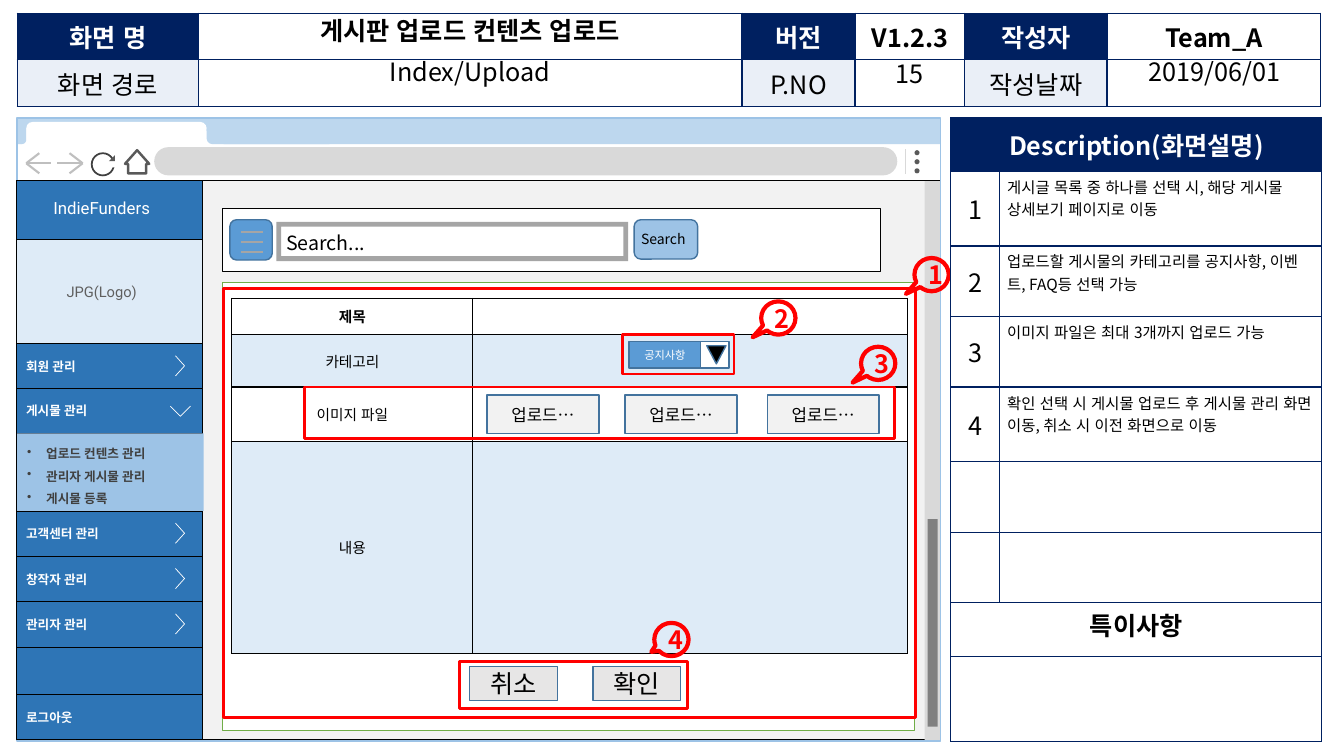
from lxml import etree
from pptx import Presentation
from pptx.dml.color import RGBColor
from pptx.enum.lang import MSO_LANGUAGE_ID
from pptx.enum.shapes import MSO_CONNECTOR, MSO_SHAPE
from pptx.enum.text import MSO_ANCHOR, MSO_AUTO_SIZE, PP_ALIGN
from pptx.oxml.ns import qn
from pptx.util import Inches, Pt

RECT, ROUND, OVAL = MSO_SHAPE.RECTANGLE, MSO_SHAPE.ROUNDED_RECTANGLE, MSO_SHAPE.OVAL
TRIANGLE, ARROW, FRAME = MSO_SHAPE.ISOSCELES_TRIANGLE, MSO_SHAPE.DOWN_ARROW, MSO_SHAPE.FRAME
CALLOUT, BUTTON = MSO_SHAPE.OVAL_CALLOUT, MSO_SHAPE.ACTION_BUTTON_CUSTOM
STRAIGHT = MSO_CONNECTOR.STRAIGHT
TOP, MIDDLE = MSO_ANCHOR.TOP, MSO_ANCHOR.MIDDLE
LEFT, CENTER = PP_ALIGN.LEFT, PP_ALIGN.CENTER
KOREAN = MSO_LANGUAGE_ID.KOREAN
NOTO, ROBOTO = "Noto Sans CJK KR", "Roboto"
NAVY, BLUE, STEEL, PALE, RED = "002060", "2E75B6", "43739E", "DEEBF7", "FF0000"
INSETS = (0.1, 0.05, 0.1, 0.05)
SIDE_INSETS = (0.1, 0.05, 0.25, 0.05)


def rgb(value):
    return RGBColor.from_string(value)


def write(tf, text, size, color="000000", bold=False, align=CENTER, font=NOTO):
    tf.text = text
    for p in tf.paragraphs:
        p.alignment = align
        for r in p.runs:
            r.font.size, r.font.bold, r.font.name = Pt(size), bold, font
            r.font.language_id = KOREAN
            r.font.color.rgb = rgb(color)
            etree.SubElement(r.font._element, qn("a:ea"), typeface=font)


def frame_text(tf, anchor=MIDDLE, insets=INSETS, wrap=True):
    tf.word_wrap, tf.auto_size, tf.vertical_anchor = wrap, MSO_AUTO_SIZE.NONE, anchor
    tf.margin_left, tf.margin_top, tf.margin_right, tf.margin_bottom = map(Inches, insets)


def style(sp, fill, line, width):
    sp.shadow.inherit = False
    if fill:
        sp.fill.solid()
        sp.fill.fore_color.rgb = rgb(fill)
    else:
        sp.fill.background()
    if line:
        sp.line.color.rgb, sp.line.width = rgb(line), Pt(width)
    else:
        sp.line.fill.background()
    return sp


def shape(s, kind, x, y, w, h, fill=None, line=None, width=1, adj=(), turn=0):
    sp = s.shapes.add_shape(kind, *map(Inches, (x, y, w, h)))
    for i, value in enumerate(adj):
        sp.adjustments[i] = value
    sp.rotation = turn
    return style(sp, fill, line, width)


def label(sp, text, size, color="000000", bold=False, align=CENTER, font=NOTO, anchor=MIDDLE,
          insets=INSETS, wrap=True):
    frame_text(sp.text_frame, anchor, insets, wrap)
    write(sp.text_frame, text, size, color, bold, align, font)


def textbox(s, x, y, w, h, text, size, align=LEFT, anchor=TOP):
    label(s.shapes.add_textbox(*map(Inches, (x, y, w, h))), text, size, align=align, anchor=anchor)


def line(s, x1, y1, x2, y2, color, width):
    cn = s.shapes.add_connector(STRAIGHT, *map(Inches, (x1, y1, x2, y2)))
    cn.line.color.rgb, cn.line.width = rgb(color), Pt(width)
    etree.SubElement(cn._element.spPr, qn("a:effectLst"))


def chevron(s, points):
    start, *rest = [(Inches(x), Inches(y)) for x, y in points]
    builder = s.shapes.build_freeform(*start)
    builder.add_line_segments(rest, close=False)
    style(builder.convert_to_shape(), None, "FFFFFF", 0.5)


def table(s, x, y, cols, rows, border, margins):
    frame = s.shapes.add_table(len(rows), len(cols), *map(Inches, (x, y, sum(cols), sum(rows))))
    tbl = frame.table
    tbl.first_row = tbl.horz_banding = False
    for column, w in zip(tbl.columns, cols):
        column.width = Inches(w)
    for row, h in zip(tbl.rows, rows):
        row.height = Inches(h)
    for cell in tbl.iter_cells():
        cell.margin_left = cell.margin_right = Inches(margins[0])
        cell.margin_top = cell.margin_bottom = Inches(margins[1])
        tcPr = cell._tc.get_or_add_tcPr()
        for side in ("lnL", "lnR", "lnT", "lnB"):
            ln = etree.SubElement(tcPr, qn("a:" + side), w=str(Pt(1)))
            etree.SubElement(etree.SubElement(ln, qn("a:solidFill")), qn("a:srgbClr"), val=border)
        cell.fill.background()
    return tbl


def put(cell, text, size, fill=None, color="000000", bold=False, align=CENTER, anchor=MIDDLE):
    cell.vertical_anchor = anchor
    if fill:
        cell.fill.solid()
        cell.fill.fore_color.rgb = rgb(fill)
    if text:
        write(cell.text_frame, text, size, color, bold, align)


def header(s, x, y):
    fields = [(s.shapes.title, "게시판 업로드 컨텐츠 업로드", 1.8, 0.01, 5.38, True),
              (s.placeholders[1], "Index/Upload", 1.8, 0.41, 5.38, False),
              (s.placeholders[2], "2019/06/01", 10.82, 0.41, 2.11, False)]
    for ph, text, dx, dy, w, bold in fields:
        ph.left, ph.top, ph.width, ph.height = map(Inches, (x + dx, y + dy, w, 0.38))
        label(ph, text, 18, bold=bold, anchor=TOP)
        p = ph.text_frame.paragraphs[0]
        p.line_spacing, p.space_before = 0.9, Pt(10)
        pPr = p._p.get_or_add_pPr()
        pPr.set("marL", "0")
        pPr.set("indent", "0")
        etree.SubElement(pPr, qn("a:buNone"))
    tbl = table(s, x, y, [1.8, 5.39, 1.12, 1.09, 1.41, 2.12], [0.46, 0.47], NAVY, (0.1, 0.04))
    top = ["화면 명", "", "버전", "V1.2.3", "작성자", "Team_A"]
    bottom = ["화면 경로", "", "P.NO", "", "작성날짜", ""]
    for c, (upper, lower) in enumerate(zip(top, bottom)):
        key = c % 2 == 0
        put(tbl.cell(0, c), upper, 18, NAVY if key else None, "FFFFFF" if key else "000000", True)
        put(tbl.cell(1, c), lower, 18, "EAEFF7" if key else None)
    textbox(s, x + 8.31, y + 0.41, 1.08, 0.38, "15", 18, CENTER, MIDDLE)


def browser(s, x, y, w, h):
    shape(s, RECT, x, y + 0.61, w, h - 0.62, "F2F2F2", "000000", 0.5)
    shape(s, RECT, x + w - 0.16, y + 0.62, 0.16, h - 0.63, "D9D9D9")
    shape(s, RECT, x, y + 0.25, w, 0.37, "FFFFFF", "000000", 0.5)
    shape(s, ROUND, x + 1.36, y + 0.29, 7.37, 0.28, "D9D9D9", adj=[0.5])
    for i in range(3):
        shape(s, OVAL, x + 8.9, y + 0.32 + 0.09 * i, 0.05, 0.05, "595959")
    line(s, x + 8.81, y + 0.31, x + 8.81, y + 0.56, "D9D9D9", 1)
    shape(s, RECT, x, y, w, 0.26, "BDD7EE")
    mid = y + 0.45
    for tip, way in ((x + 0.09, 1), (x + 0.65, -1)):
        for dx, dy in ((0.25, 0), (0.13, -0.1), (0.13, 0.1)):
            line(s, tip, mid, tip + way * dx, mid + dy, "BFBFBF", 1.5)
    shape(s, OVAL, x + 0.74, y + 0.35, 0.22, 0.22, None, "404040", 1.25)
    shape(s, RECT, x + 0.92, y + 0.41, 0.08, 0.08, "FFFFFF")
    shape(s, TRIANGLE, x + 0.91, y + 0.37, 0.06, 0.06, "595959", adj=[1])
    shape(s, ARROW, x + 1.07, y + 0.32, 0.24, 0.23, "FFFFFF", "595959", 1.75, [0.75, 0.586], 180)
    for dx, dy, tw, th, fill, adj in ((0.09, 0.04, 1.79, 0.23, "FFFFFF", 0.276),
                                      (1.71, 0.13, 0.34, 0.15, "FFFFFF", 0.167),
                                      (1.88, 0.06, 1.27, 0.2, "BDD7EE", 0.276),
                                      (0.04, 0.13, 0.13, 0.15, "FFFFFF", 0.167),
                                      (0, 0.06, 0.09, 0.2, "BDD7EE", 0.462)):
        shape(s, ROUND, x + dx, y + dy, tw, th, fill, adj=[adj])
    shape(s, RECT, x, y, w, h, None, "9DC3E6")
    shape(s, RECT, x + w - 0.13, y + 3.98, 0.1, 2.06, "808080")


def sidebar(s, x, y, w, h):
    panel = shape(s, RECT, x, y, w, h, BLUE, "000000", 0.5)
    label(panel, "IndieFunders", 12, "FFFFFF", font=ROBOTO, anchor=TOP, insets=(0.1, 0.17, 0.25, 0.05))
    logo = shape(s, RECT, x, y + 0.59, w, 1.03, PALE, "000000", 0.5)
    label(logo, "JPG(Logo)", 10.5, "5F5F5F", font=ROBOTO, insets=SIDE_INSETS)
    menu = [("회원 관리", 1.62), ("게시물 관리", 2.06), ("고객센터 관리", 3.28),
            ("창작자 관리", 3.73), ("관리자 관리", 4.18), ("로그아웃", 5.1)]
    for text, dy in menu:
        item = shape(s, RECT, x, y + dy, w, 0.45, BLUE, "000000", 0.5)
        label(item, text, 9, "FFFFFF", True, LEFT, ROBOTO, insets=SIDE_INSETS)
        cx, cy = x + 1.63, y + dy + 0.22
        if text == "게시물 관리":
            chevron(s, [(cx - 0.1, cy - 0.04), (cx, cy + 0.06), (cx + 0.1, cy - 0.04)])
        elif text != "로그아웃":
            chevron(s, [(cx - 0.05, cy + 0.1), (cx + 0.04, cy), (cx - 0.05, cy - 0.1)])
    sub = shape(s, RECT, x + 0.01, y + 2.51, w, 0.77, "9DC3E6")
    label(sub, "업로드 컨텐츠 관리\n관리자 게시물 관리\n게시물 등록", 9, "404040", True, LEFT, ROBOTO,
          insets=SIDE_INSETS)
    for p in sub.text_frame.paragraphs:
        p.line_spacing = 1.5
        pPr = p._p.get_or_add_pPr()
        pPr.set("marL", str(Inches(0.19)))
        pPr.set("indent", str(-Inches(0.19)))
        etree.SubElement(pPr, qn("a:buChar"), char="•")


def search_bar(s, x, y, w, h):
    shape(s, RECT, x, y, w, h, "FFFFFF", "000000", 0.5)
    shape(s, ROUND, x + 0.07, y + 0.11, 0.42, 0.4, "5B9BD5", STEEL)
    for i in range(3):
        ly = y + 0.23 + 0.1 * i
        line(s, x + 0.18, ly, x + 0.4, ly, "A5A5A5", 1.5)
    shape(s, FRAME, x + 0.53, y + 0.13, 3.49, 0.39, "A5A5A5", adj=[0.125])
    textbox(s, x + 0.53, y + 0.17, 1.11, 0.34, "Search...", 14)
    shape(s, ROUND, x + 4.08, y + 0.11, 0.63, 0.39, "9DC3E6", STEEL)
    textbox(s, x + 4.05, y + 0.17, 0.76, 0.27, "Search", 10)


def upload_form(s, x, y, w, h):
    shape(s, RECT, x, y, w, h, "FFFFFF", "70AD47")
    tbl = table(s, x + 0.09, y + 0.16, [2.39, 4.31], [0.36, 0.52, 0.54, 2.1], "000000", (0.1, 0.02))
    for i, text in enumerate(["제목", "카테고리", "이미지 파일", "내용"]):
        fill = PALE if i % 2 else None
        put(tbl.cell(i, 0), text, 10.5, fill, bold=i == 0)
        put(tbl.cell(i, 1), "", 10.5, fill)
    label(shape(s, RECT, x + 4.03, y + 0.59, 0.71, 0.26, "5B9BD5", STEEL), "공지사항", 8, "FFFFFF",
          insets=(0, 0, 0, 0))
    shape(s, RECT, x + 4.74, y + 0.59, 0.28, 0.26, "FFFFFF", STEEL)
    shape(s, TRIANGLE, x + 4.8, y + 0.63, 0.19, 0.18, "000000", STEEL, turn=180)
    for dx in (2.62, 3.99, 5.4):
        label(shape(s, BUTTON, x + dx, y + 1.12, 1.11, 0.38, "F2F2F2", STEEL), "업로드…", 12)
    for text, dx in (("취소", 2.45), ("확인", 3.67)):
        label(shape(s, RECT, x + dx, y + 3.81, 0.87, 0.34, "E7E6E6", STEEL), text, 18)
    for dx, dy, fw, fh in ((0.01, 0.06, 6.86, 4.26), (3.96, 0.52, 1.11, 0.39),
                           (0.81, 1.04, 5.85, 0.51), (2.35, 3.76, 2.26, 0.47)):
        shape(s, RECT, x + dx, y + dy, fw, fh, None, RED, 2)
    for n, dx, dy in ((1, 6.86, -0.24), (2, 5.34, 0.19), (3, 6.33, 0.64), (4, 4.28, 3.38)):
        tail = [-0.59, 0.37] if n == 4 else [-0.75, 0.58]
        label(shape(s, CALLOUT, x + dx, y + dy, 0.34, 0.33, None, RED, 3, tail), str(n), 18, RED, True,
              insets=(0.08, 0, 0, 0), wrap=False)


def description(s, x, y):
    rows = [0.53, 0.74, 0.7, 0.7, 0.74, 0.7, 0.7, 0.53, 0.85]
    tbl = table(s, x, y, [0.48, 3.2], rows, NAVY, (0.08, 0.04))
    for r in (0, 7, 8):
        tbl.cell(r, 0).merge(tbl.cell(r, 1))
    put(tbl.cell(0, 0), "Description(화면설명)", 18, NAVY, "FFFFFF", True)
    notes = ["게시글 목록 중 하나를 선택 시, 해당 게시물 상세보기 페이지로 이동",
             "업로드할 게시물의 카테고리를 공지사항, 이벤트, FAQ등 선택 가능",
             "이미지 파일은 최대 3개까지 업로드 가능",
             "확인 선택 시 게시물 업로드 후 게시물 관리 화면 이동, 취소 시 이전 화면으로 이동"]
    for n, text in enumerate(notes, 1):
        put(tbl.cell(n, 0), str(n), 18)
        put(tbl.cell(n, 1), text, 11, align=LEFT, anchor=TOP)
    put(tbl.cell(7, 0), "특이사항", 18, bold=True, anchor=TOP)


def main():
    prs = Presentation()
    prs.slide_width, prs.slide_height = Inches(13.33), Inches(7.5)
    s = prs.slides.add_slide(prs.slide_layouts[3])
    header(s, 0.17, 0.13)
    browser(s, 0.17, 1.17, 9.16, 6.18)
    sidebar(s, 0.16, 1.79, 1.85, 5.55)
    search_bar(s, 2.21, 2.07, 6.52, 0.62)
    upload_form(s, 2.21, 2.8, 6.86, 4.45)
    description(s, 9.43, 1.17)
    prs.save("out.pptx")


if __name__ == "__main__":
    main()
